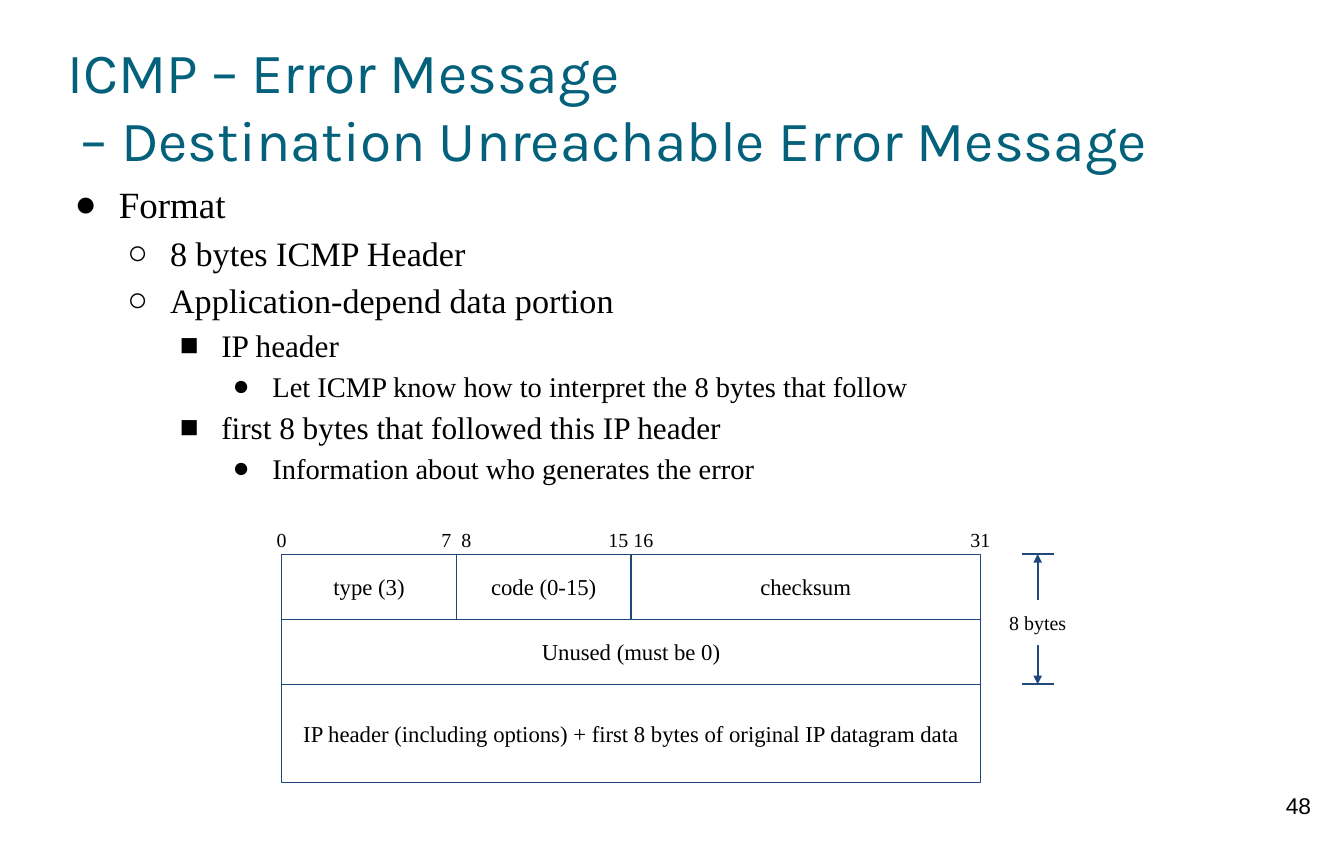
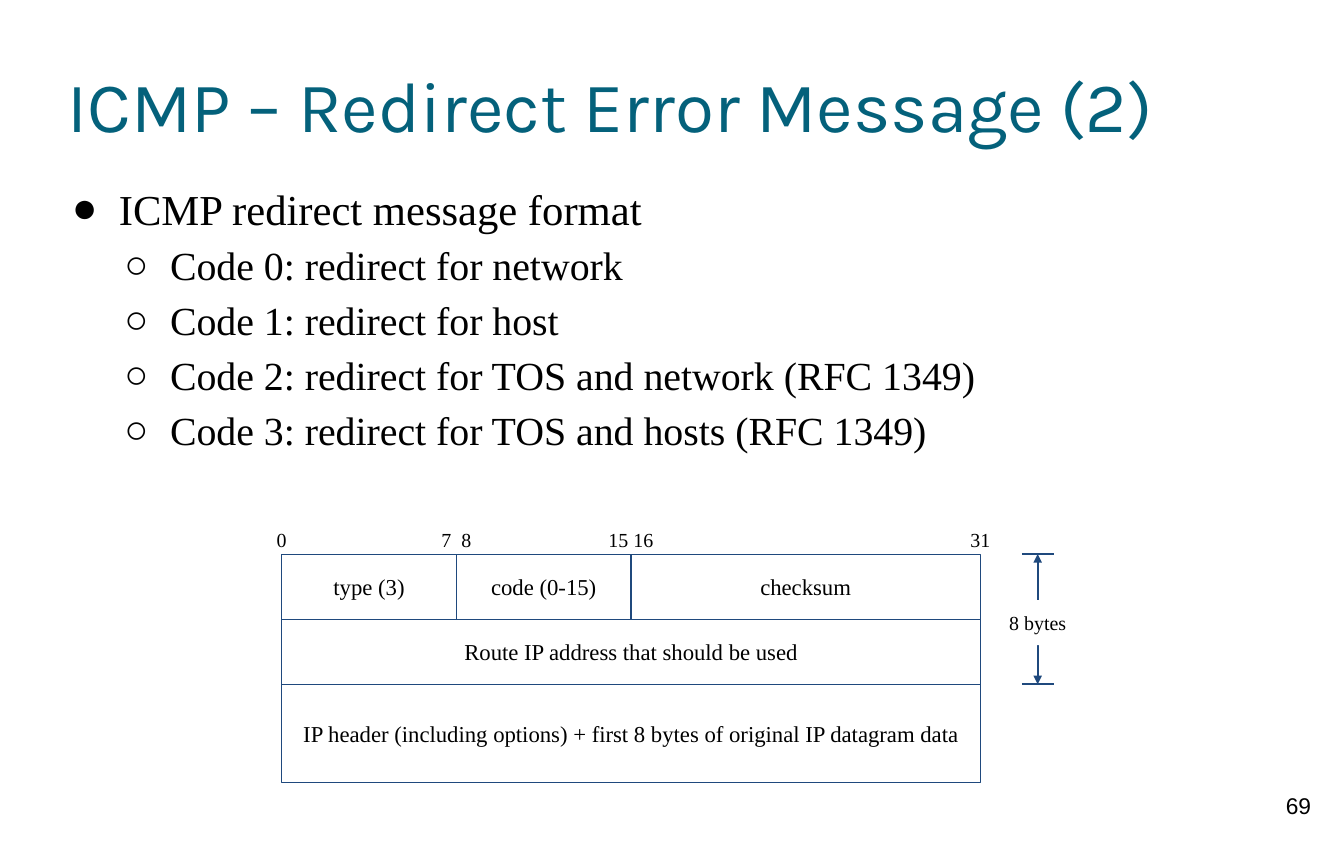
from dataclasses import dataclass

from lxml import etree
from pptx import Presentation
from pptx.dml.color import RGBColor
from pptx.enum.shapes import MSO_CONNECTOR, MSO_SHAPE
from pptx.enum.text import MSO_ANCHOR, MSO_AUTO_SIZE, PP_ALIGN
from pptx.oxml.ns import qn
from pptx.shapes.base import BaseShape
from pptx.shapes.shapetree import GroupShapes
from pptx.slide import Slide
from pptx.text.text import TextFrame, _Paragraph
from pptx.util import Inches, Pt

STRAIGHT = MSO_CONNECTOR.STRAIGHT
RECTANGLE = MSO_SHAPE.RECTANGLE
TOP, MIDDLE = MSO_ANCHOR.TOP, MSO_ANCHOR.MIDDLE
FIXED, GROW = MSO_AUTO_SIZE.NONE, MSO_AUTO_SIZE.SHAPE_TO_FIT_TEXT
LEFT, CENTER = PP_ALIGN.LEFT, PP_ALIGN.CENTER


@dataclass(frozen=True)
class Theme:
    """Colours, fonts and type sizes of the presentation."""

    title: str = "04617B"
    text: str = "000000"
    outline: str = "1F497D"
    paper: str = "FFFFFF"
    title_font: str = "Karla"
    text_font: str = "Times New Roman"
    number_font: str = "Arial"
    field_size: int = 16
    label_size: int = 14
    number_size: int = 16
    line_spacing: float = 1.15
    field_line: float = 0.75
    bracket_line: float = 1.5
    bullets: str = "●○■●"


@dataclass(frozen=True)
class Box:
    """A rectangle in inches."""

    left: float
    top: float
    width: float
    height: float


@dataclass(frozen=True)
class TitleLine:
    """One line of a title with its indent in inches."""

    text: str
    indent: float = 0


@dataclass(frozen=True)
class Item:
    """One bullet with its outline level."""

    text: str
    level: int = 0


@dataclass(frozen=True)
class Field:
    """One packet field: its bits, row top and row height."""

    text: str
    first_bit: int
    bits: int
    top: float
    height: float


@dataclass(frozen=True)
class BitLabel:
    """Bit numbers centred on a field boundary, with optional tracking."""

    text: str
    bit: int
    tracking: float = 0


@dataclass(frozen=True)
class Page:
    """The content that differs between slides."""

    number: int
    title: tuple[TitleLine, ...]
    title_size: int
    items: tuple[Item, ...]
    level_sizes: tuple[int, ...]
    body_height: float
    body_fit: MSO_AUTO_SIZE
    second_row: str


THEME = Theme()
TITLE_BOX = Box(0.66, 0.33, 11.81, 1.38)
NUMBER_BOX = Box(12.28, 7.63, 0.79, 0.63)
PACKET_LEFT, PACKET_TOP, PACKET_WIDTH = 2.75, 5.41, 6.82
BIT_WIDTH = PACKET_WIDTH / 32
ROW_HEIGHT = 0.635
DATA_TOP = PACKET_TOP + 2 * ROW_HEIGHT
DATA_HEIGHT = 0.96
LABEL_HEIGHT = 0.44
LABEL_TOP, LABEL_WIDTH = 5.05, 0.66
BRACKET_CENTER, BRACKET_HALF = 10.13, 0.155

BIT_LABELS = (
    BitLabel("0", 0),
    BitLabel("7 8", 8, 1.75),
    BitLabel("15 16", 16),
    BitLabel("31", 32),
)

PAGES = (
    Page(
        48,
        (
            TitleLine("ICMP – Error Message"),
            TitleLine("– Destination Unreachable Error Message", 0.13),
        ),
        40,
        (
            Item("Format"),
            Item("8 bytes ICMP Header", 1),
            Item("Application-depend data portion", 1),
            Item("IP header", 2),
            Item("Let ICMP know how to interpret the 8 bytes that follow", 3),
            Item("first 8 bytes that followed this IP header", 2),
            Item("Information about who generates the error", 3),
        ),
        (26, 24, 22, 20),
        3.01,
        GROW,
        "Unused (must be 0)",
    ),
    Page(
        69,
        (TitleLine("ICMP – Redirect Error Message (2)"),),
        50,
        (
            Item("ICMP redirect message format"),
            Item("Code 0: redirect for network", 1),
            Item("Code 1: redirect for host", 1),
            Item("Code 2: redirect for TOS and network (RFC 1349)", 1),
            Item("Code 3: redirect for TOS and hosts (RFC 1349)", 1),
        ),
        (30, 28),
        6.19,
        FIXED,
        "Route IP address that should be used",
    ),
)


def inches(box: Box) -> tuple[Inches, Inches, Inches, Inches]:
    """Return the box as python-pptx lengths."""
    return Inches(box.left), Inches(box.top), Inches(box.width), Inches(box.height)


def add_text(paragraph: _Paragraph, text: str, size: int, font: str, color: str, tracking: float = 0) -> None:
    """Append one formatted run."""
    run = paragraph.add_run()
    run.text = text
    run.font.size = Pt(size)
    run.font.name = font
    run.font.color.rgb = RGBColor.from_string(color)
    if tracking:
        run.font._element.set("spc", str(round(tracking * 100)))


def set_frame(frame: TextFrame, margin: float, anchor: MSO_ANCHOR, fit: MSO_AUTO_SIZE, wrap: bool = True) -> None:
    """Set margins, anchor, fitting and wrapping."""
    frame.margin_left = frame.margin_right = Inches(margin)
    frame.margin_top = frame.margin_bottom = Inches(margin)
    frame.vertical_anchor = anchor
    frame.auto_size = fit
    frame.word_wrap = wrap


def place(shape: BaseShape, box: Box) -> None:
    """Move and size a shape."""
    shape.left, shape.top, shape.width, shape.height = inches(box)


def set_indent(paragraph: _Paragraph, left: float, first: float) -> None:
    """Set the left margin and first-line indent in inches."""
    properties = paragraph._p.get_or_add_pPr()
    properties.set("marL", str(Inches(left)))
    properties.set("indent", str(Inches(first)))


def add_bullet(paragraph: _Paragraph, character: str) -> None:
    """Give a paragraph a coloured bullet character."""
    properties = paragraph._p.get_or_add_pPr()
    color = etree.SubElement(properties, qn("a:buClr"))
    etree.SubElement(color, qn("a:srgbClr"), val=THEME.text)
    etree.SubElement(properties, qn("a:buFont"), typeface=THEME.text_font)
    etree.SubElement(properties, qn("a:buChar"), char=character)


def next_paragraph(frame: TextFrame, index: int) -> _Paragraph:
    """Return the first paragraph or append another."""
    return frame.add_paragraph() if index else frame.paragraphs[0]


def fill_title(slide: Slide, page: Page) -> None:
    """Write the title placeholder."""
    title = slide.shapes.title
    place(title, TITLE_BOX)
    set_frame(title.text_frame, 0, MIDDLE, FIXED)
    for index, line in enumerate(page.title):
        paragraph = next_paragraph(title.text_frame, index)
        paragraph.alignment = LEFT
        set_indent(paragraph, line.indent, 0)
        add_text(paragraph, line.text, page.title_size, THEME.title_font, THEME.title)


def fill_body(slide: Slide, page: Page) -> None:
    """Write the bulleted body placeholder."""
    body = slide.placeholders[1]
    place(body, Box(0.66, 1.71, 11.84, page.body_height))
    set_frame(body.text_frame, 0, TOP, page.body_fit)
    for index, item in enumerate(page.items):
        size = page.level_sizes[item.level]
        paragraph = next_paragraph(body.text_frame, index)
        paragraph.level = item.level
        paragraph.line_spacing = THEME.line_spacing
        paragraph.space_before = Pt(0)
        set_indent(paragraph, 0.5 * (item.level + 1), -(0.25 + size / 144))
        add_bullet(paragraph, THEME.bullets[item.level])
        add_text(paragraph, item.text, size, THEME.text_font, THEME.text)


def add_label(shapes: GroupShapes, text: str, box: Box, fill: str = "", tracking: float = 0) -> None:
    """Add a small centred label, filled if a colour is given."""
    label = shapes.add_textbox(*inches(box))
    if fill:
        label.fill.solid()
        label.fill.fore_color.rgb = RGBColor.from_string(fill)
    set_frame(label.text_frame, 0.1, TOP, GROW, wrap=False)
    paragraph = label.text_frame.paragraphs[0]
    paragraph.alignment = CENTER
    add_text(paragraph, text, THEME.label_size, THEME.text_font, THEME.text, tracking)


def add_field(shapes: GroupShapes, field: Field) -> None:
    """Add one outlined packet field."""
    left = PACKET_LEFT + field.first_bit * BIT_WIDTH
    box = Box(left, field.top, field.bits * BIT_WIDTH, field.height)
    shape = shapes.add_shape(RECTANGLE, *inches(box))
    shape.shadow.inherit = False
    shape.fill.background()
    shape.line.color.rgb = RGBColor.from_string(THEME.outline)
    shape.line.width = Pt(THEME.field_line)
    set_frame(shape.text_frame, 0.1, MIDDLE, FIXED)
    paragraph = shape.text_frame.paragraphs[0]
    paragraph.alignment = CENTER
    add_text(paragraph, field.text, THEME.field_size, THEME.text_font, THEME.text)


def add_line(shapes: GroupShapes, start: tuple[float, float], end: tuple[float, float], arrows: bool = False) -> None:
    """Add a straight line, with arrowheads at both ends if asked."""
    line = shapes.add_connector(STRAIGHT, *map(Inches, (*start, *end)))
    line.line.color.rgb = RGBColor.from_string(THEME.outline)
    line.line.width = Pt(THEME.bracket_line)
    if arrows:
        outline = line.line._get_or_add_ln()
        for tag in ("a:headEnd", "a:tailEnd"):
            etree.SubElement(outline, qn(tag), type="triangle")
    etree.SubElement(line._element.spPr, qn("a:effectLst"))


def add_packet(slide: Slide, second_row: str) -> None:
    """Draw the packet layout with bit numbers and the header bracket."""
    shapes = slide.shapes.add_group_shape().shapes
    second_top = PACKET_TOP + ROW_HEIGHT
    data = "IP header (including options) + first 8 bytes of original IP datagram data"
    for field in (
        Field("type (3)", 0, 8, PACKET_TOP, ROW_HEIGHT),
        Field("code (0-15)", 8, 8, PACKET_TOP, ROW_HEIGHT),
        Field("checksum", 16, 16, PACKET_TOP, ROW_HEIGHT),
        Field(second_row, 0, 32, second_top, ROW_HEIGHT),
        Field(data, 0, 32, DATA_TOP, DATA_HEIGHT),
    ):
        add_field(shapes, field)
    for label in BIT_LABELS:
        left = PACKET_LEFT + label.bit * BIT_WIDTH - LABEL_WIDTH / 2
        box = Box(left, LABEL_TOP, LABEL_WIDTH, LABEL_HEIGHT)
        add_label(shapes, label.text, box, tracking=label.tracking)
    for y in (PACKET_TOP, DATA_TOP):
        add_line(shapes, (BRACKET_CENTER - BRACKET_HALF, y), (BRACKET_CENTER + BRACKET_HALF, y))
    add_line(shapes, (BRACKET_CENTER, PACKET_TOP), (BRACKET_CENTER, DATA_TOP), arrows=True)
    add_label(shapes, "8 bytes", Box(BRACKET_CENTER - 0.44, 5.86, 0.88, LABEL_HEIGHT), THEME.paper)


def add_number(slide: Slide, number: int) -> None:
    """Add the page number in the lower right corner."""
    box = slide.shapes.add_textbox(*inches(NUMBER_BOX))
    set_frame(box.text_frame, 0.1, TOP, FIXED)
    paragraph = box.text_frame.paragraphs[0]
    paragraph.alignment = CENTER
    add_text(paragraph, str(number), THEME.number_size, THEME.number_font, THEME.text)


def main() -> None:
    """Build and save the presentation."""
    presentation = Presentation()
    presentation.slide_width, presentation.slide_height = Inches(13.12), Inches(8.27)
    for page in PAGES:
        slide = presentation.slides.add_slide(presentation.slide_layouts[1])
        add_number(slide, page.number)
        fill_title(slide, page)
        fill_body(slide, page)
        add_packet(slide, page.second_row)
    presentation.save("out.pptx")


if __name__ == "__main__":
    main()
